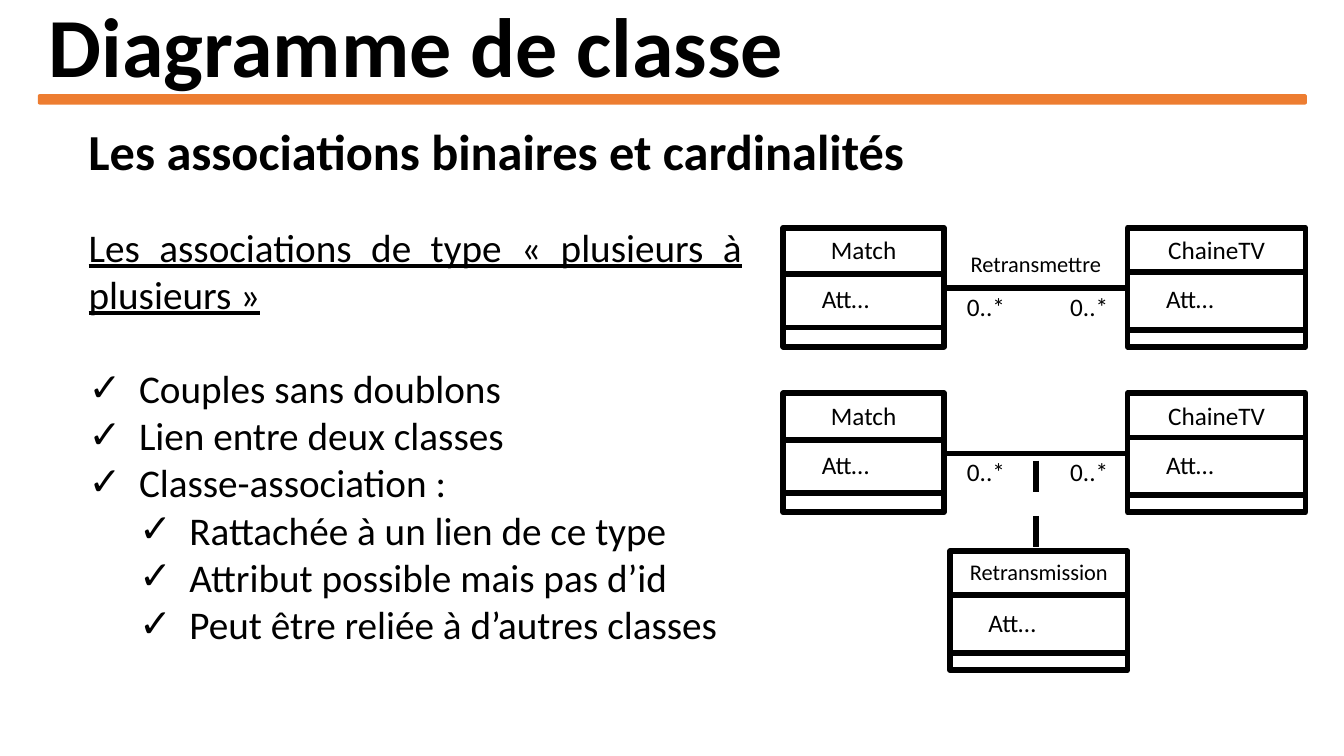
from dataclasses import dataclass

from lxml.etree import SubElement
from pptx import Presentation
from pptx.dml.color import RGBColor
from pptx.enum.shapes import MSO_CONNECTOR, MSO_SHAPE
from pptx.enum.text import MSO_ANCHOR, MSO_AUTO_SIZE, PP_ALIGN
from pptx.oxml.ns import qn
from pptx.util import Cm, Pt


@dataclass(frozen=True)
class Theme:
    """Colours, font and type sizes of the slide."""
    font: str = "Calibri"
    ink: RGBColor = RGBColor(0x00, 0x00, 0x00)
    paper: RGBColor = RGBColor(0xFF, 0xFF, 0xFF)
    accent: RGBColor = RGBColor(0xED, 0x7D, 0x31)
    title: int = 60
    head: int = 36
    body: int = 28
    label: int = 18
    small: int = 16
    stroke: int = 4


@dataclass(frozen=True)
class Entity:
    """Name, width, divider heights and text fit of a class box."""
    name: str
    width: float
    cuts: tuple
    pad: float
    field: float = 2.31
    size: int = 18


THEME = Theme()
MATCH = Entity("Match", 4.05, (1.17, 2.51), 0.2, 2.95)
CHANNEL = Entity("ChaineTV", 4.48, (1.11, 2.57), 0.65)
RELAY = Entity("Retransmission", 4.48, (1.11, 2.57), 0.1, size=THEME.small)
TALL = 3.0
INDENT = 1.27
LEAD = "Les associations de type « plusieurs à plusieurs »"
ITEMS = (
    (0, "Couples sans doublons"),
    (0, "Lien entre deux classes"),
    (0, "Classe-association :"),
    (1, "Rattachée à un lien de ce type"),
    (1, "Attribut possible mais pas d’id"),
    (1, "Peut être reliée à d’autres classes"),
)


def style(para, size, bold=False, line=False, align=PP_ALIGN.LEFT):
    """Format a paragraph and its runs."""
    para.alignment = align
    for run in para.runs:
        font = run.font
        font.name, font.size = THEME.font, Pt(size)
        font.bold, font.underline = bold, line
        font.color.rgb = THEME.ink


def place(shape, left, top, width, height):
    """Move a placeholder to a box given in centimetres."""
    shape.left, shape.top = Cm(left), Cm(top)
    shape.width, shape.height = Cm(width), Cm(height)


def label(slide, text, left, top, width, height=1.02, size=THEME.label, **look):
    """Add a text box with one formatted paragraph."""
    box = slide.shapes.add_textbox(Cm(left), Cm(top), Cm(width), Cm(height))
    box.text_frame.word_wrap = True
    box.text_frame.text = text
    style(box.text_frame.paragraphs[0], size, **look)


def stroke(slide, left, top, right, bottom):
    """Draw one straight diagram line."""
    line = slide.shapes.add_connector(
        MSO_CONNECTOR.STRAIGHT, Cm(left), Cm(top), Cm(right), Cm(bottom))
    line.line.color.rgb = THEME.ink
    line.line.width = Pt(THEME.stroke)
    SubElement(line._element.spPr, qn("a:effectLst"))


def panel(slide, kind, box, fill, edge, width):
    """Add a filled and outlined preset shape."""
    shape = slide.shapes.add_shape(kind, *(Cm(part) for part in box))
    shape.shadow.inherit = False
    shape.fill.solid()
    shape.fill.fore_color.rgb = fill
    shape.line.color.rgb = edge
    shape.line.width = Pt(width)


def header(slide, left, top, width):
    """Place the title, its rule and the subtitle."""
    title = slide.shapes.title
    place(title, left, top, width, 2.54)
    frame = title.text_frame
    frame.text = "Diagramme de classe"
    frame.auto_size = MSO_AUTO_SIZE.NONE
    frame.vertical_anchor = MSO_ANCHOR.MIDDLE
    para = frame.paragraphs[0]
    para.line_spacing = 0.9
    style(para, THEME.title, bold=True)
    panel(slide, MSO_SHAPE.ROUNDED_RECTANGLE, (left, top + 2.39, width, 0.23),
          THEME.accent, THEME.accent, 1)
    label(slide, "Les associations binaires et cardinalités", left + 1.01,
          top + 2.9, 29.92, 1.8, THEME.head, bold=True, align=PP_ALIGN.JUSTIFY)


def bullet(para, level):
    """Give a paragraph a check mark and a hanging indent."""
    para.level = level
    props = para._p.get_or_add_pPr()
    props.set("marL", str(Cm(INDENT * (level + 1))))
    props.set("indent", str(-Cm(INDENT)))
    SubElement(props, qn("a:buChar")).set("char", "✓")


def points(slide, *box):
    """Fill the body with the lead sentence and checked points."""
    body = slide.placeholders[1]
    place(body, *box)
    frame = body.text_frame
    frame.auto_size = MSO_AUTO_SIZE.NONE
    frame.text = "\n".join([LEAD] + [text for _, text in ITEMS])
    lead, *rest = frame.paragraphs
    props = lead._p.get_or_add_pPr()
    props.set("marL", "0")
    props.set("indent", "0")
    SubElement(props, qn("a:buNone"))
    for para, (level, _) in zip(rest, ITEMS):
        bullet(para, level)
    for para in frame.paragraphs:
        para.space_before = Pt(0)
        style(para, THEME.body, line=para.text == LEAD, align=PP_ALIGN.JUSTIFY)
    rest[0].space_before = Pt(34)


def entity(slide, kind, left, top):
    """Draw a class box with its name, field and dividers."""
    panel(slide, MSO_SHAPE.RECTANGLE, (left, top, kind.width, TALL),
          THEME.paper, THEME.ink, THEME.stroke)
    for cut in kind.cuts:
        stroke(slide, left, top + cut, left + kind.width, top + cut)
    label(slide, kind.name, left + kind.pad, top + 0.05,
          kind.width - 2 * kind.pad, size=kind.size, align=PP_ALIGN.CENTER)
    label(slide, "Att…", left + 0.72, top + 1.28, kind.field)


def pair(slide, left, top, width):
    """Draw two linked classes with their cardinalities."""
    start, end = left + MATCH.width, left + width - CHANNEL.width
    level = top + 1.52
    entity(slide, MATCH, left, top)
    entity(slide, CHANNEL, end, top)
    stroke(slide, start, level, end, level)
    label(slide, "0..*", start + 0.33, level - 0.05, 1.52)
    label(slide, "0..*", end - 1.7, level - 0.05, 1.7)


def diagram(slide, left, top, width):
    """Draw the named link, then the link with its own class."""
    pair(slide, left, top, width)
    label(slide, "Retransmettre", left + 4.34, top + 0.43, 4.05, 0.94,
          THEME.small, align=PP_ALIGN.CENTER)
    pair(slide, left, top + 4.17, width)
    entity(slide, RELAY, left + 4.2, top + 8.15)
    middle = left + 6.37
    for dash in (5.87, 7.26):
        stroke(slide, middle, top + dash, middle, top + dash + 0.78)


def main():
    """Build and save the slide."""
    deck = Presentation()
    deck.slide_width, deck.slide_height = Cm(33.87), Cm(19.05)
    slide = deck.slides.add_slide(deck.slide_layouts[1])
    header(slide, 0.97, 0, 31.95)
    points(slide, 1.98, 5.49, 16.97, 11.02)
    diagram(slide, 19.74, 5.74, 13.16)
    deck.save("out.pptx")


if __name__ == "__main__":
    main()
